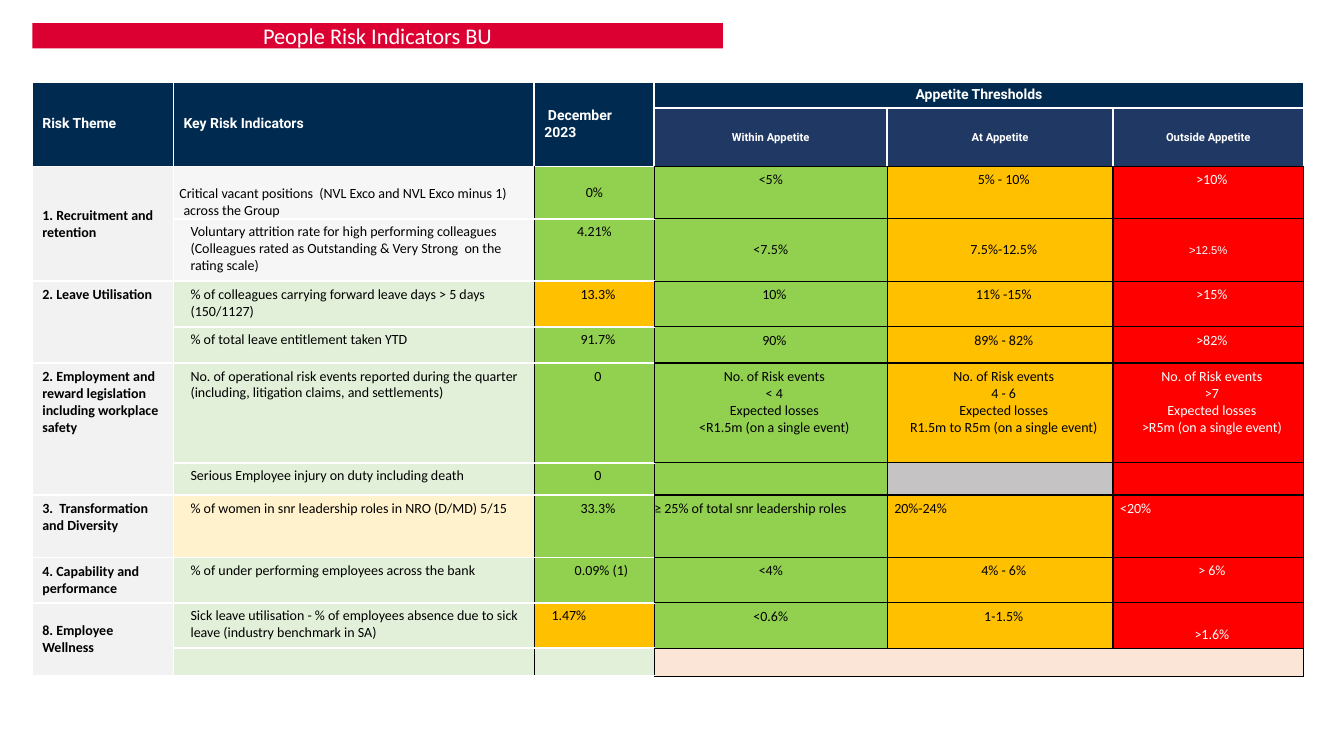
from dataclasses import dataclass

from lxml import etree
from pptx import Presentation
from pptx.dml.color import RGBColor
from pptx.enum.text import MSO_ANCHOR, PP_ALIGN
from pptx.oxml.ns import qn
from pptx.util import Inches, Pt

LEFT, CENTER = PP_ALIGN.LEFT, PP_ALIGN.CENTER
TOP, MIDDLE, BOTTOM = MSO_ANCHOR.TOP, MSO_ANCHOR.MIDDLE, MSO_ANCHOR.BOTTOM


@dataclass(frozen=True)
class Theme:
    """Colours, fonts and type sizes of the slide."""
    bar: str = "DC0032"
    navy: str = "002A50"
    blue: str = "203864"
    white: str = "FFFFFF"
    black: str = "000000"
    theme_grey: str = "F2F2F2"
    pale_grey: str = "F6F6F6"
    pale_green: str = "E2F0D9"
    pale_yellow: str = "FFF2CC"
    pale_orange: str = "FBE5D6"
    no_value: str = "C5C3C3"
    green: str = "92D050"
    amber: str = "FFC000"
    red: str = "FF0000"
    body_font: str = "Calibri"
    head_font: str = "Roboto"
    small_font: str = "Arial"
    title_size: int = 16
    body_size: int = 10
    small_size: int = 8


T = Theme()
COLUMNS = [1.4, 3.58, 1.19, 2.31, 2.24, 1.89]
ROWS = [0.26, 0.58, 0.52, 0.62, 0.45, 0.36, 0.99, 0.32, 0.62, 0.45, 0.45, 0.28]
HEADINGS = ["Risk Theme", "Key Risk Indicators", " December 2023"]
LEVELS = ["Within Appetite", "At Appetite", "Outside Appetite"]

THEMES = [
    (2, 2, "1. Recruitment and retention", MIDDLE),
    (4, 2, "2. Leave Utilisation", TOP),
    (6, 2, "2. Employment and reward legislation including workplace safety", TOP),
    (8, 1, "3.  Transformation and Diversity", TOP),
    (9, 1, "4. Capability and performance", MIDDLE),
    (10, 2, "8. Employee Wellness", MIDDLE),
]

EVENTS = "No. of Risk events\n{}\nExpected losses\n{} (on a single event)"
INDICATORS = [
    ("Critical vacant positions  (NVL Exco and NVL Exco minus 1) across the Group",
     T.pale_grey, "0%", T.green, TOP, ["<5%", "5% - 10%", ">10%"]),
    ("Voluntary attrition rate for high performing colleagues (Colleagues rated "
     "as Outstanding & Very Strong  on the rating scale)",
     T.pale_grey, "4.21%", T.green, MIDDLE, ["<7.5%", "7.5%-12.5%", ">12.5%"]),
    ("% of colleagues carrying forward leave days > 5 days (150/1127)",
     T.pale_green, "13.3%", T.amber, TOP, ["10%", "11% -15%", ">15%"]),
    ("% of total leave entitlement taken YTD",
     T.pale_green, "91.7%", T.green, TOP, ["90%", "89% - 82%", ">82%"]),
    ("No. of operational risk events reported during the quarter (including, "
     "litigation claims, and settlements)",
     T.pale_green, "0", T.green, TOP,
     [EVENTS.format("< 4", "<R1.5m"), EVENTS.format("4 - 6", "R1.5m to R5m"),
      EVENTS.format(">7", ">R5m")]),
    ("Serious Employee injury on duty including death",
     T.pale_green, "0", T.green, TOP, ["", "", ""]),
    ("% of women in snr leadership roles in NRO (D/MD) 5/15",
     T.pale_yellow, "33.3%", T.green, TOP,
     ["≥ 25% of total snr leadership roles", "20%-24%", "<20%"]),
    ("% of under performing employees across the bank",
     T.pale_green, "0.09% (1)", T.green, TOP, ["<4%", "4% - 6%", "> 6%"]),
    ("Sick leave utilisation - % of employees absence due to sick leave "
     "(industry benchmark in SA)",
     T.pale_green, "1.47%", T.amber, TOP, ["<0.6%", "1-1.5%", ">1.6%"]),
    ("", T.pale_green, "", T.pale_green, TOP, None),
]

EXCEPTIONS = {
    (2, 1): dict(anchor=BOTTOM, indent=0.1, first=-0.04, margins=(0, 0), spacing=None),
    (2, 2): dict(anchor=MIDDLE, indent=0, spacing=None),
    (2, 3): dict(indent=0),
    (3, 2): dict(indent=0),
    (3, 3): dict(indent=0),
    (3, 5): dict(indent=0, size=T.small_size, font=T.small_font),
    (7, 4): dict(fill=T.no_value),
    (8, 3): dict(align=LEFT, indent=0),
    (8, 4): dict(align=LEFT),
    (8, 5): dict(align=LEFT),
    (9, 2): dict(indent=0.14),
    (9, 3): dict(indent=0),
    (10, 2): dict(align=LEFT),
    (10, 3): dict(indent=0),
    (10, 5): dict(anchor=BOTTOM),
}

WHITE_EDGES = dict.fromkeys("LRTB", (T.white, 1.5))
BLACK_EDGES = dict.fromkeys("LRTB", (T.black, 1))
LEVEL_EDGES = WHITE_EDGES | {"B": (T.black, 1)}
INDICATOR_EDGES = WHITE_EDGES | {"R": (T.black, 1)}
VALUE_EDGES = INDICATOR_EDGES | {"L": (T.black, 1)}


def rgb(value):
    """Turn a hex string into a colour."""
    return RGBColor.from_string(value)


def draw_edges(cell, edges):
    """Draw the four borders of a cell."""
    tcPr = cell._tc.get_or_add_tcPr()
    for side, (color, width) in edges.items():
        ln = etree.SubElement(tcPr, qn(f"a:ln{side}"), w=str(Pt(width)))
        fill = etree.SubElement(ln, qn("a:solidFill"))
        etree.SubElement(fill, qn("a:srgbClr"), val=color)


def format_run(r, font, size, color, bold):
    """Set the typeface, size, colour and weight of a run."""
    r.font.name, r.font.size, r.font.bold = font, Pt(size), bold
    r.font.color.rgb = rgb(color)


def write_cell(cell, text, fill, edges, color=T.black, bold=False, font=T.body_font,
               size=T.body_size, align=LEFT, anchor=TOP, indent=0, first=0,
               margins=(0.1, 0.05), spacing=None):
    """Fill, border and write one table cell."""
    draw_edges(cell, edges)
    cell.fill.solid()
    cell.fill.fore_color.rgb = rgb(fill)
    cell.vertical_anchor = anchor
    cell.margin_left = cell.margin_right = Inches(margins[0])
    cell.margin_top = cell.margin_bottom = Inches(margins[1])
    cell.text_frame.text = text
    for p in cell.text_frame.paragraphs:
        pPr = p._p.get_or_add_pPr()
        pPr.set("marL", str(Inches(indent)))
        pPr.set("indent", str(Inches(first)))
        p.alignment = align
        if spacing:
            p.line_spacing = Pt(spacing)
        for r in p.runs:
            format_run(r, font, size, color, bold)
        if not p.runs:
            etree.SubElement(p._p, qn("a:endParaRPr"), sz=str(size * 100))


def write_span(table, row, col, rows, cols, text, fill, edges, **style):
    """Merge a block of cells and write its first one."""
    for i in range(row, row + rows):
        for j in range(col, col + cols):
            shown = text if (i, j) == (row, col) else ""
            write_cell(table.cell(i, j), shown, fill, edges, **style)
    if rows * cols > 1:
        table.cell(row, col).merge(table.cell(row + rows - 1, col + cols - 1))


def add_title(s, text):
    """Format the title placeholder as a coloured bar."""
    title = s.shapes.title
    title.left, title.top = Inches(0.32), Inches(0.23)
    title.width, title.height = Inches(6.85), Inches(0.25)
    title.fill.solid()
    title.fill.fore_color.rgb = rgb(T.bar)
    tf = title.text_frame
    tf.text, tf.vertical_anchor = text, MIDDLE
    p = tf.paragraphs[0]
    p.alignment, p.line_spacing = CENTER, 1.0
    format_run(p.runs[0], T.body_font, T.title_size, T.white, False)


def add_grid(s):
    """Add the empty table with its columns and rows."""
    table = s.shapes.add_table(len(ROWS), len(COLUMNS), Inches(0.32), Inches(0.81),
                               Inches(sum(COLUMNS)), Inches(sum(ROWS))).table
    table.first_row = table.horz_banding = False
    for column, width in zip(table.columns, COLUMNS):
        column.width = Inches(width)
    for row, height in zip(table.rows, ROWS):
        row.height = Inches(height)
    return table


def write_headings(table):
    """Write the two heading rows."""
    style = dict(color=T.white, bold=True, font=T.head_font, anchor=MIDDLE)
    for col, text in enumerate(HEADINGS):
        write_span(table, 0, col, 2, 1, text, T.navy, WHITE_EDGES, **style)
    style["align"] = CENTER
    write_span(table, 0, 3, 1, 3, "Appetite Thresholds", T.navy, WHITE_EDGES, **style)
    for col, text in enumerate(LEVELS, 3):
        write_cell(table.cell(1, col), text, T.blue, LEVEL_EDGES,
                   size=T.small_size, **style)


def write_indicator(table, row, name, name_fill, value, value_fill, anchor, limits):
    """Write one indicator with its value and thresholds."""
    def put(col, **style):
        write_cell(table.cell(row, col), **(style | EXCEPTIONS.get((row, col), {})))

    put(1, text=name, fill=name_fill, edges=INDICATOR_EDGES, indent=0.07, spacing=12)
    put(2, text=value, fill=value_fill, edges=VALUE_EDGES, indent=0.07, spacing=12,
        align=CENTER)
    if limits is None:
        write_span(table, row, 3, 1, 3, "", T.pale_orange, BLACK_EDGES)
        return
    colors = [(T.green, T.black), (T.amber, T.black), (T.red, T.white)]
    for col, (text, (fill, color)) in enumerate(zip(limits, colors), 3):
        put(col, text=text, fill=fill, edges=BLACK_EDGES, color=color, align=CENTER,
            anchor=anchor, indent=0.07, margins=(0, 0.05))


def main():
    """Build the slide and save it."""
    prs = Presentation()
    prs.slide_width, prs.slide_height = Inches(13.33), Inches(7.5)
    s = prs.slides.add_slide(prs.slide_layouts[5])
    add_title(s, "People Risk Indicators BU")
    table = add_grid(s)
    write_headings(table)
    for row, rows, text, anchor in THEMES:
        write_span(table, row, 0, rows, 1, text, T.theme_grey, WHITE_EDGES,
                   bold=True, anchor=anchor)
    for row, indicator in enumerate(INDICATORS, 2):
        write_indicator(table, row, *indicator)
    prs.save("out.pptx")


if __name__ == "__main__":
    main()
